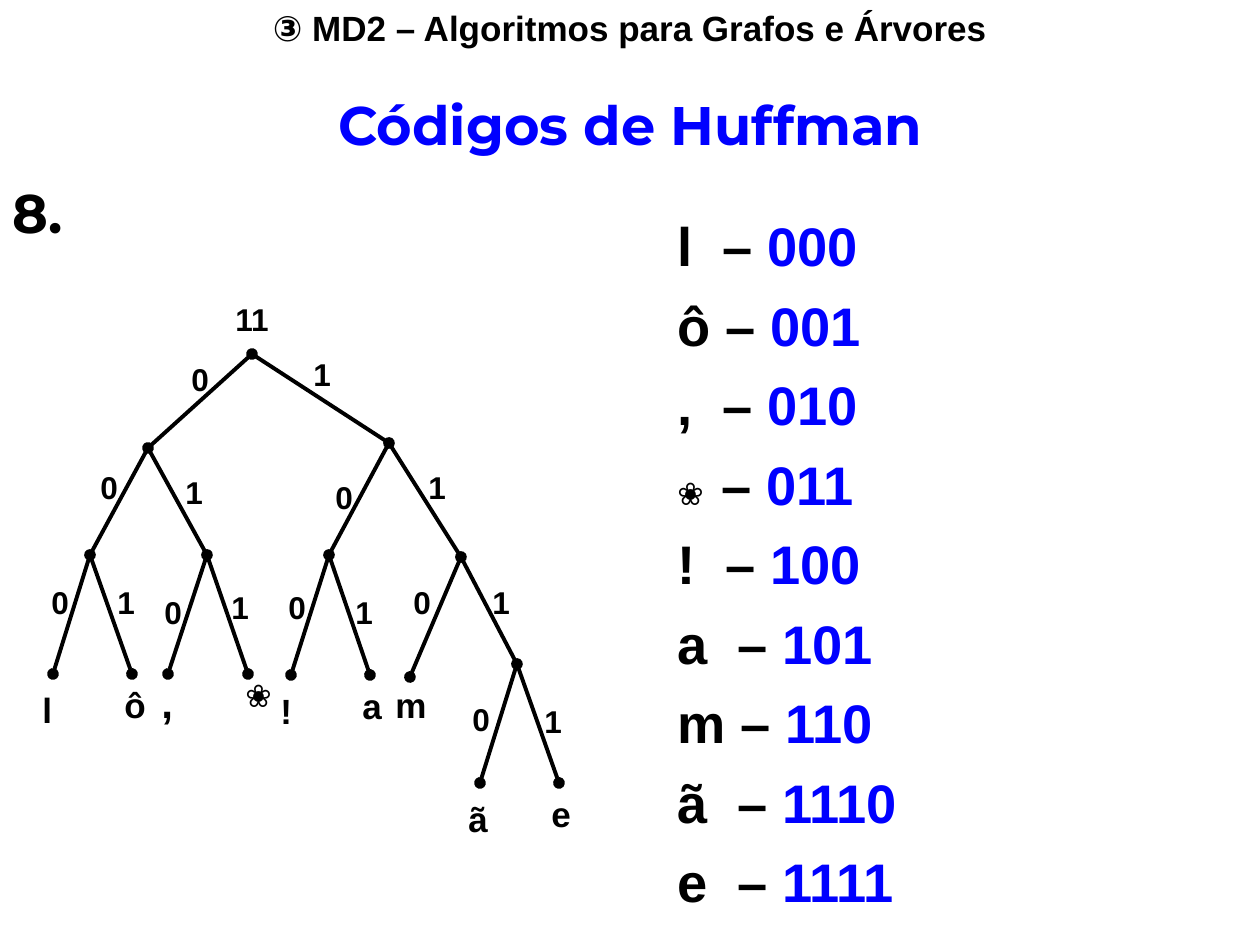
from lxml import etree
from pptx import Presentation
from pptx.dml.color import RGBColor
from pptx.enum.shapes import MSO_CONNECTOR
from pptx.enum.text import MSO_ANCHOR, MSO_AUTO_SIZE, PP_ALIGN
from pptx.oxml.ns import qn
from pptx.util import Pt

PX = 914400 // 126
BLACK = RGBColor(0, 0, 0)
BLUE = RGBColor(0, 0, 255)
BODY_FONT, TITLE_FONT = "Arial", "Montserrat"
LEFT, CENTER = PP_ALIGN.LEFT, PP_ALIGN.CENTER
STRAIGHT = MSO_CONNECTOR.STRAIGHT

# Content
HEADER = "③ MD2 – Algoritmos para Grafos e Árvores"
TITLE = "Códigos de Huffman"
STEP = "8."
ROOT_WEIGHT = "11"

# Symbol, code, symbol size in the list, offset of the dash in px
CODES = [
    ("l", "000", 31, 45), ("ô", "001", 31, 48), (",", "010", 31, 45),
    ("❀", "011", 18, 44), ("!", "100", 31, 48), ("a", "101", 31, 60),
    ("m", "110", 31, 63), ("ã", "1110", 31, 60), ("e", "1111", 31, 60),
]

# Tree nodes by code: node centre, then corner of the bit label on its edge
NODES = {
    "": ((252, 354), None),
    "0": ((148, 448), (179, 354)), "1": ((389, 443), (301, 349)),
    "00": ((90, 555), (88, 462)), "01": ((207, 555), (173, 467)),
    "10": ((329, 555), (323, 472)), "11": ((461, 557), (416, 462)),
    "000": ((53, 674), (39, 577)), "001": ((132, 674), (105, 577)),
    "010": ((168, 674), (152, 587)), "011": ((248, 674), (219, 582)),
    "100": ((291, 675), (276, 582)), "101": ((370, 675), (343, 587)),
    "110": ((410, 677), (401, 577)), "111": ((517, 664), (480, 577)),
    "1110": ((480, 783), (460, 694)), "1111": ((559, 783), (532, 696)),
}

# Leaf labels by symbol: left, top, width, height, size
LEAF_LABELS = {
    "l": (30, 682, 47, 55, 20), "ô": (112, 677, 47, 55, 20),
    ",": (149, 670, 47, 63, 24), "❀": (233, 670, 37, 50, 18),
    "!": (268, 683, 47, 55, 20), "a": (350, 678, 44, 55, 20),
    "m": (383, 677, 57, 55, 20), "ã": (456, 791, 47, 55, 20),
    "e": (539, 786, 44, 55, 20),
}

prs = Presentation()
prs.slide_width, prs.slide_height = 1260 * PX, 945 * PX
slide = prs.slides.add_slide(prs.slide_layouts[5])


def add_run(paragraph, text, size, color=BLACK, font=BODY_FONT):
    run = paragraph.add_run()
    run.text = text
    run.font.size, run.font.bold = Pt(size), True
    run.font.name, run.font.color.rgb = font, color


def add_box(left, top, width, height):
    box = slide.shapes.add_textbox(*(v * PX for v in (left, top, width, height)))
    box.text_frame.word_wrap = True
    return box.text_frame


def add_label(text, left, top, width, height, size, align=LEFT):
    paragraph = add_box(left, top, width, height).paragraphs[0]
    paragraph.alignment = align
    add_run(paragraph, text, size)


def add_edge(start, end, ends):
    edge = slide.shapes.add_connector(STRAIGHT, *(v * PX for v in start + end))
    edge.line.color.rgb, edge.line.width = BLACK, Pt(2.25)
    line = edge.line._get_or_add_ln()
    for name in ends:
        etree.SubElement(line, qn(name), type="oval")
    etree.SubElement(edge._element.spPr, qn("a:effectLst"))


# Header, title and step number
add_label(HEADER, 0, 0, 1260, 55, 20, CENTER)

title = slide.shapes.title
title.left, title.top, title.width, title.height = (v * PX for v in (0, 92, 1260, 78))
title_frame = title.text_frame
title_frame.auto_size = MSO_AUTO_SIZE.NONE
title_frame.vertical_anchor = MSO_ANCHOR.TOP
heading = title_frame.paragraphs[0]
heading.alignment, heading.line_spacing = CENTER, 0.9
add_run(heading, TITLE, 31, BLUE, TITLE_FONT)

step = add_box(0, 186, 120, 64).paragraphs[0]
step.line_spacing = 0.8
add_run(step, STEP, 31, font=TITLE_FONT)

# Tree: each node is the round end of the edge from its parent
for code, (centre, bit_corner) in NODES.items():
    if code:
        ends = ["a:headEnd", "a:tailEnd"] if code == "0" else ["a:tailEnd"]
        add_edge(NODES[code[:-1]][0], centre, ends)
        add_label(code[-1], *bit_corner, 43, 50, 18)
add_label(ROOT_WEIGHT, 220, 294, 64, 50, 18, CENTER)
for symbol, place in LEAF_LABELS.items():
    add_label(symbol, *place)

# Code list, with the dash at a tab stop
code_list = add_box(665, 224, 581, 694)
for row, (symbol, code, size, dash) in enumerate(CODES):
    paragraph = code_list.add_paragraph() if row else code_list.paragraphs[0]
    paragraph.line_spacing = 0.7
    if row:
        paragraph.space_before = Pt(19.4)
    tabs = etree.SubElement(paragraph._p.get_or_add_pPr(), qn("a:tabLst"))
    etree.SubElement(tabs, qn("a:tab"), pos=str(dash * PX), algn="l")
    add_run(paragraph, symbol, size)
    add_run(paragraph, "\t– ", 31)
    add_run(paragraph, code, 31, BLUE)

prs.save("out.pptx")
